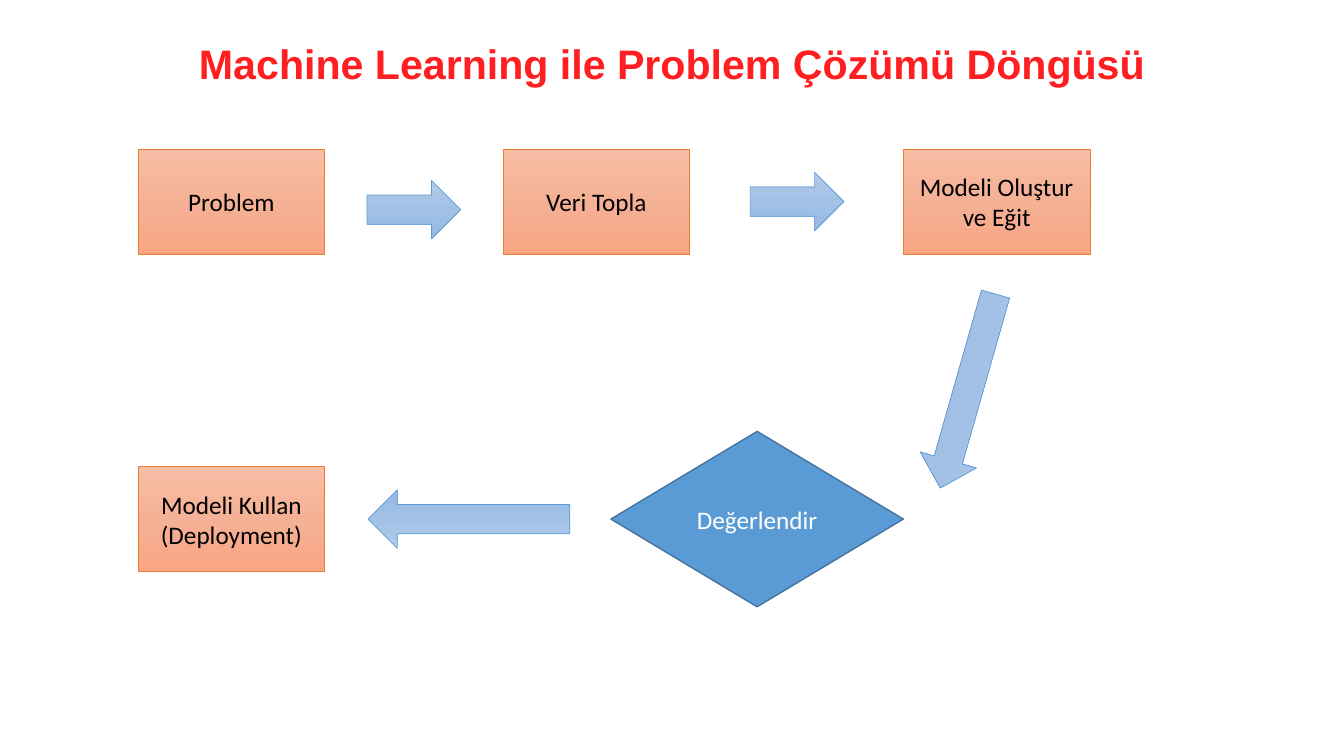
from copy import deepcopy
from dataclasses import dataclass

from pptx import Presentation
from pptx.dml.color import RGBColor
from pptx.dml.fill import FillFormat
from pptx.enum.shapes import MSO_SHAPE as Preset
from pptx.enum.text import MSO_ANCHOR as Anchor, PP_ALIGN as Align
from pptx.oxml.ns import qn
from pptx.shapes.autoshape import Shape
from pptx.slide import Slide
from pptx.util import Inches, Pt


@dataclass(frozen=True)
class Theme:
    title_color: str = "FF1F20"
    title_font: str = "Arial"
    title_size: float = 29.4
    body_font: str = "Calibri"
    body_size: float = 18
    step_text: str = "000000"
    step_fill: tuple[str, ...] = ("F7BDA5", "F5B196", "F8A582")
    step_line: str = "ED7D31"
    arrow_fill: tuple[str, ...] = ("B1CBE9", "A3C1E5", "93B9E4")
    arrow_line: str = "5B9BD5"
    decision_text: str = "FFFFFF"
    decision_fill: tuple[str, ...] = ("5B9BD5",)
    decision_line: str = "43739E"


@dataclass(frozen=True)
class Step:
    text: str
    left: float
    top: float


@dataclass(frozen=True)
class Arrow:
    left: float
    top: float
    width: float
    rotation: float = 0


THEME = Theme()
STEP_WIDTH, STEP_HEIGHT = 1.85, 1.04
ARROW_HEIGHT = 0.58
SHORT_ARROW, LONG_ARROW = 0.93, 2
TOP_ROW, BOTTOM_ROW = 1.48, 4.63
FIRST_COLUMN = 1.37

STEPS = (
    Step("Problem", FIRST_COLUMN, TOP_ROW),
    Step("Veri Topla", 4.99, TOP_ROW),
    Step("Modeli Oluştur ve Eğit", 8.96, TOP_ROW),
    Step("Modeli Kullan\n(Deployment)", FIRST_COLUMN, BOTTOM_ROW),
)
ARROWS = (
    Arrow(3.64, 1.79, SHORT_ARROW),
    Arrow(7.44, 1.71, SHORT_ARROW),
    Arrow(8.6, 3.59, LONG_ARROW, 105.9),
    Arrow(3.65, 4.86, LONG_ARROW, 180),
)


def write_text(shape: Shape, text: str, *, color: str, font: str = THEME.body_font,
               size: float = THEME.body_size, bold: bool = False,
               line_spacing: float | None = None) -> None:
    """Write centred text with the given format."""
    frame = shape.text_frame
    frame.word_wrap = True
    frame.vertical_anchor = Anchor.MIDDLE
    frame.text = text
    for paragraph in frame.paragraphs:
        paragraph.alignment = Align.CENTER
        paragraph.line_spacing = line_spacing
        for run in paragraph.runs:
            run.font.name = font
            run.font.size = Pt(size)
            run.font.bold = bold
            run.font.color.rgb = RGBColor.from_string(color)


def paint_gradient(shape: Shape, colors: tuple[str, ...]) -> None:
    """Fill a shape from top to bottom with evenly spaced colours."""
    fill: FillFormat = shape.fill
    fill.gradient()
    fill.gradient_angle = 270
    stop_list = shape.element.find(".//" + qn("a:gsLst"))
    for _ in colors[2:]:
        stop_list.insert(1, deepcopy(stop_list[0]))
    for index, (stop, color) in enumerate(zip(fill.gradient_stops, colors)):
        stop.position = index / (len(colors) - 1)
        stop.color.rgb = RGBColor.from_string(color)


def add_block(slide: Slide, preset: Preset, left: float, top: float, width: float,
              height: float, *, colors: tuple[str, ...], line: str,
              line_width: float = 0.5) -> Shape:
    """Add a filled and outlined preset shape."""
    block = slide.shapes.add_shape(
        preset, Inches(left), Inches(top), Inches(width), Inches(height))
    block.shadow.inherit = False
    if len(colors) > 1:
        paint_gradient(block, colors)
    else:
        block.fill.solid()
        block.fill.fore_color.rgb = RGBColor.from_string(colors[0])
    block.line.color.rgb = RGBColor.from_string(line)
    block.line.width = Pt(line_width)
    return block


def add_title(slide: Slide) -> None:
    """Add the slide title."""
    title = slide.shapes.add_textbox(Inches(1.67), Inches(0.3), Inches(10), Inches(0.78))
    write_text(title, "Machine Learning ile Problem Çözümü Döngüsü",
               color=THEME.title_color, font=THEME.title_font,
               size=THEME.title_size, bold=True, line_spacing=0.7)


def add_step(slide: Slide, step: Step) -> None:
    """Add one step of the cycle."""
    box = add_block(slide, Preset.RECTANGLE, step.left, step.top, STEP_WIDTH, STEP_HEIGHT,
                    colors=THEME.step_fill, line=THEME.step_line)
    write_text(box, step.text, color=THEME.step_text)


def add_arrow(slide: Slide, arrow: Arrow) -> None:
    """Add one block arrow between steps."""
    pointer = add_block(slide, Preset.RIGHT_ARROW, arrow.left, arrow.top, arrow.width,
                        ARROW_HEIGHT, colors=THEME.arrow_fill, line=THEME.arrow_line)
    pointer.rotation = arrow.rotation


def add_decision(slide: Slide) -> None:
    """Add the evaluation diamond."""
    evaluation = add_block(slide, Preset.FLOWCHART_DECISION, 6.06, 4.28, 2.9, 1.74,
                           colors=THEME.decision_fill, line=THEME.decision_line,
                           line_width=1)
    write_text(evaluation, "Değerlendir", color=THEME.decision_text)


def main() -> None:
    """Build and save the slide."""
    deck = Presentation()
    deck.slide_width, deck.slide_height = Inches(13.33), Inches(7.5)
    slide = deck.slides.add_slide(deck.slide_layouts[6])
    add_title(slide)
    for step in STEPS:
        add_step(slide, step)
    for arrow in ARROWS:
        add_arrow(slide, arrow)
    add_decision(slide)
    deck.save("out.pptx")


if __name__ == "__main__":
    main()
